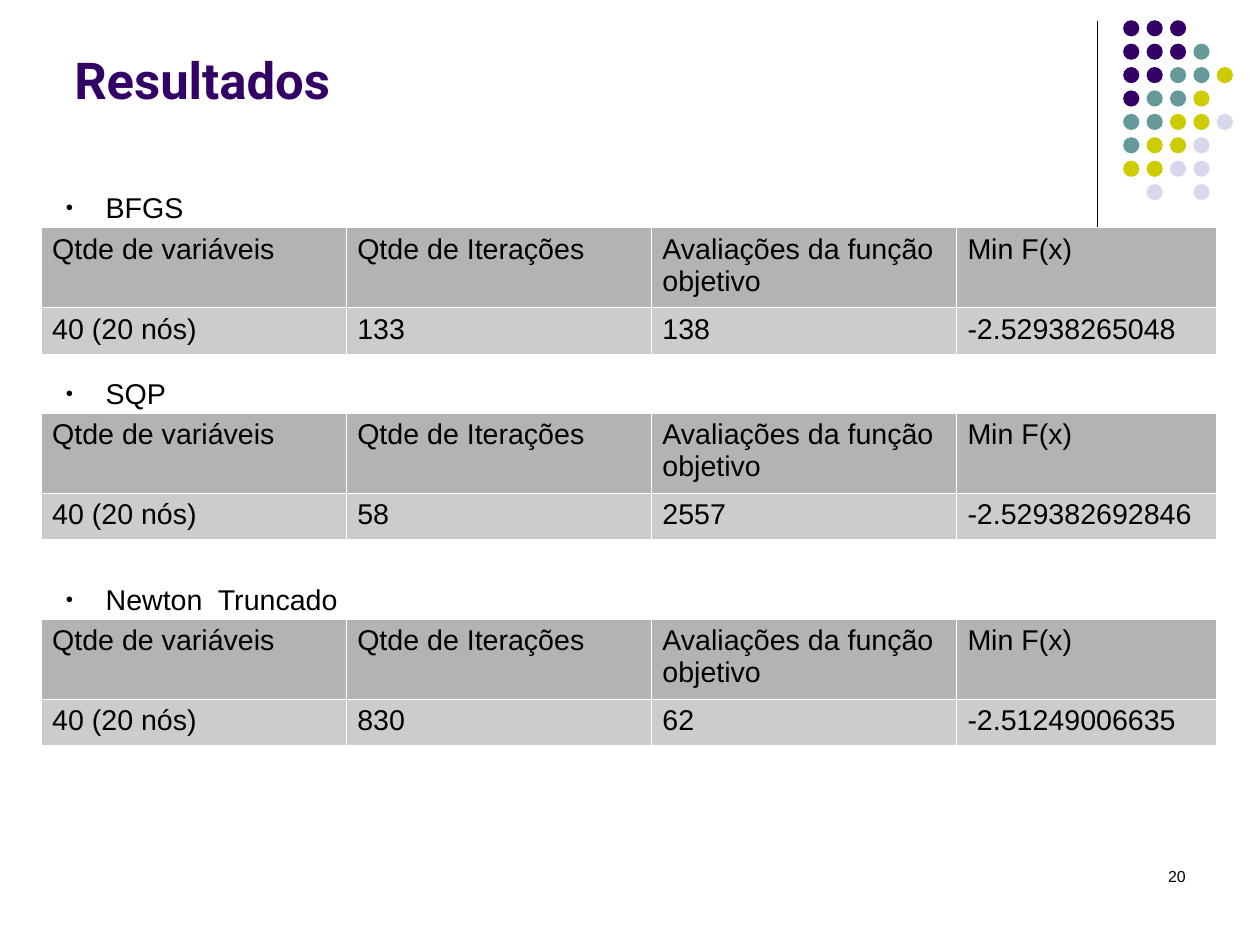
import lxml.etree
import pptx
import pptx.dml.color
import pptx.enum.shapes
import pptx.enum.text
import pptx.oxml
import pptx.oxml.ns
import pptx.util

Cm = pptx.util.Cm
Pt = pptx.util.Pt
ALIGN = pptx.enum.text.PP_ALIGN
ANCHOR = pptx.enum.text.MSO_ANCHOR

COLORS = {
    "text": "000000", "purple": "330066", "teal": "669999",
    "lime": "CCCC00", "lavender": "D8D8EC", "border": "FFFFFF",
    "header": "B3B3B3", "body": "CCCCCC",
}
DOT_COLORS = {"P": "purple", "T": "teal", "Y": "lime", "L": "lavender"}
DOT_ROWS = ["PPP", "PPPT", "PPTTY", "PTTY", "TTYYL", "TYYL", "YYLL", " L L"]
DOT_PITCH = 0.52

LEFT = 0.91
HEADING_HEIGHT = 0.95
COLUMN_WIDTHS = [6.78, 6.78, 6.78, 5.77]
ROW_HEIGHTS = [1.68, 0.97]
HEADERS = ["Qtde de variáveis", "Qtde de Iterações",
           "Avaliações da função objetivo", "Min F(x)"]
RESULTS = [
    ("BFGS", 5.05, 3.96, ["40 (20 nós)", "133", "138", "-2.52938265048"]),
    ("SQP", 9.17, 3.96, ["40 (20 nós)", "58", "2557", "-2.529382692846"]),
    ("Newton  Truncado", 13.75, 7.26,
     ["40 (20 nós)", "830", "62", "-2.51249006635"]),
]


def rgb(name):
    return pptx.dml.color.RGBColor.from_string(COLORS[name])


def apply_format(target, values):
    for name, value in values.items():
        setattr(target, name, value)


class SlideBuilder:
    body_font = {"name": "Arial", "size": Pt(18), "bold": False}
    title_font = {"name": "Roboto", "size": Pt(32), "bold": True}
    small_font = {"name": "Arial", "size": Pt(10), "bold": False}
    margins = {"margin_left": Cm(0.25), "margin_right": Cm(0.25),
               "margin_top": Cm(0.13), "margin_bottom": Cm(0.13)}

    def __init__(self, presentation):
        self.slide = presentation.slides.add_slide(presentation.slide_layouts[5])
        self.shapes = self.slide.shapes

    def set_text(self, frame, text, font, color="text", align=ALIGN.LEFT):
        paragraph = frame.paragraphs[0]
        paragraph.text = text
        paragraph.alignment = align
        apply_format(paragraph.font, font)
        paragraph.font.color.rgb = rgb(color)

    def title(self, text, left, top, width, height):
        shape = self.shapes.title
        apply_format(shape, {"left": Cm(left), "top": Cm(top),
                             "width": Cm(width), "height": Cm(height)})
        frame = shape.text_frame
        apply_format(frame, {"auto_size": pptx.enum.text.MSO_AUTO_SIZE.NONE,
                             "vertical_anchor": ANCHOR.BOTTOM,
                             "word_wrap": True, **self.margins})
        self.set_text(frame, text, self.title_font, "purple")

    def text_box(self, left, top, width, height):
        shape = self.shapes.add_textbox(Cm(left), Cm(top), Cm(width), Cm(height))
        apply_format(shape.text_frame, {"word_wrap": True, **self.margins})
        return shape.text_frame

    def label(self, text, left, top, width, height):
        frame = self.text_box(left, top, width, height)
        self.set_text(frame, text, self.small_font, align=ALIGN.RIGHT)

    def bullet(self, text, left, top, width, height):
        frame = self.text_box(left, top, width, height)
        properties = frame.paragraphs[0]._p.get_or_add_pPr()
        properties.set("marL", str(Cm(1.19)))
        properties.set("indent", str(Cm(-0.89)))
        namespace = pptx.oxml.ns.nsdecls("a")
        for element in (
            f'<a:buClr {namespace}><a:srgbClr val="{COLORS["text"]}"/></a:buClr>',
            f'<a:buSzPct {namespace} val="45000"/>',
            f'<a:buFont {namespace} typeface="Arial"/>',
            f'<a:buChar {namespace} char="●"/>',
        ):
            properties.append(pptx.oxml.parse_xml(element))
        self.set_text(frame, text, self.body_font)

    def line(self, x, top, bottom):
        connector = self.shapes.add_connector(
            pptx.enum.shapes.MSO_CONNECTOR.STRAIGHT,
            Cm(x), Cm(top), Cm(x), Cm(bottom))
        connector.line.color.rgb = rgb("text")
        connector.line.width = Pt(0.75)
        lxml.etree.SubElement(connector._element.spPr,
                              pptx.oxml.ns.qn("a:effectLst"))

    def dot(self, left, top, diameter, color):
        shape = self.shapes.add_shape(
            pptx.enum.shapes.MSO_SHAPE.OVAL,
            Cm(left), Cm(top), Cm(diameter), Cm(diameter))
        shape.shadow.inherit = False
        shape.fill.solid()
        shape.fill.fore_color.rgb = rgb(color)
        shape.line.fill.background()

    def cell(self, cell, text, fill):
        properties = cell._tc.get_or_add_tcPr()
        namespace = pptx.oxml.ns.nsdecls("a")
        for side in "LRTB":
            properties.append(pptx.oxml.parse_xml(
                f'<a:ln{side} {namespace} w="720"><a:solidFill>'
                f'<a:srgbClr val="{COLORS["border"]}"/>'
                f'</a:solidFill></a:ln{side}>'))
        cell.fill.solid()
        cell.fill.fore_color.rgb = rgb(fill)
        apply_format(cell, {"vertical_anchor": ANCHOR.TOP, **self.margins})
        self.set_text(cell.text_frame, text, self.body_font)

    def table(self, rows, left, top):
        table = self.shapes.add_table(
            len(rows), len(COLUMN_WIDTHS), Cm(left), Cm(top),
            Cm(sum(COLUMN_WIDTHS)), Cm(sum(ROW_HEIGHTS))).table
        apply_format(table, {"first_row": False, "horz_banding": False})
        for column, width in zip(table.columns, COLUMN_WIDTHS):
            column.width = Cm(width)
        for row, height, texts, fill in zip(
                table.rows, ROW_HEIGHTS, rows, ("header", "body")):
            row.height = Cm(height)
            for cell, text in zip(row.cells, texts):
                self.cell(cell, text, fill)


def main():
    presentation = pptx.Presentation()
    apply_format(presentation, {"slide_width": Cm(28), "slide_height": Cm(21)})
    builder = SlideBuilder(presentation)
    builder.line(24.38, 0.46, 5.13)
    for row, pattern in enumerate(DOT_ROWS):
        for column, key in enumerate(pattern):
            if key in DOT_COLORS:
                builder.dot(24.96 + column * DOT_PITCH, 0.45 + row * DOT_PITCH,
                            0.36, DOT_COLORS[key])
    builder.title("Resultados", 1.4, 0.2, 23.09, 2.36)
    builder.label("20", 20.07, 19.13, 6.53, 1.4)
    for method, top, heading_width, values in RESULTS:
        builder.table([HEADERS, values], LEFT, top)
        builder.bullet(method, LEFT, top - HEADING_HEIGHT,
                       heading_width, HEADING_HEIGHT)
    presentation.save("out.pptx")


if __name__ == "__main__":
    main()
